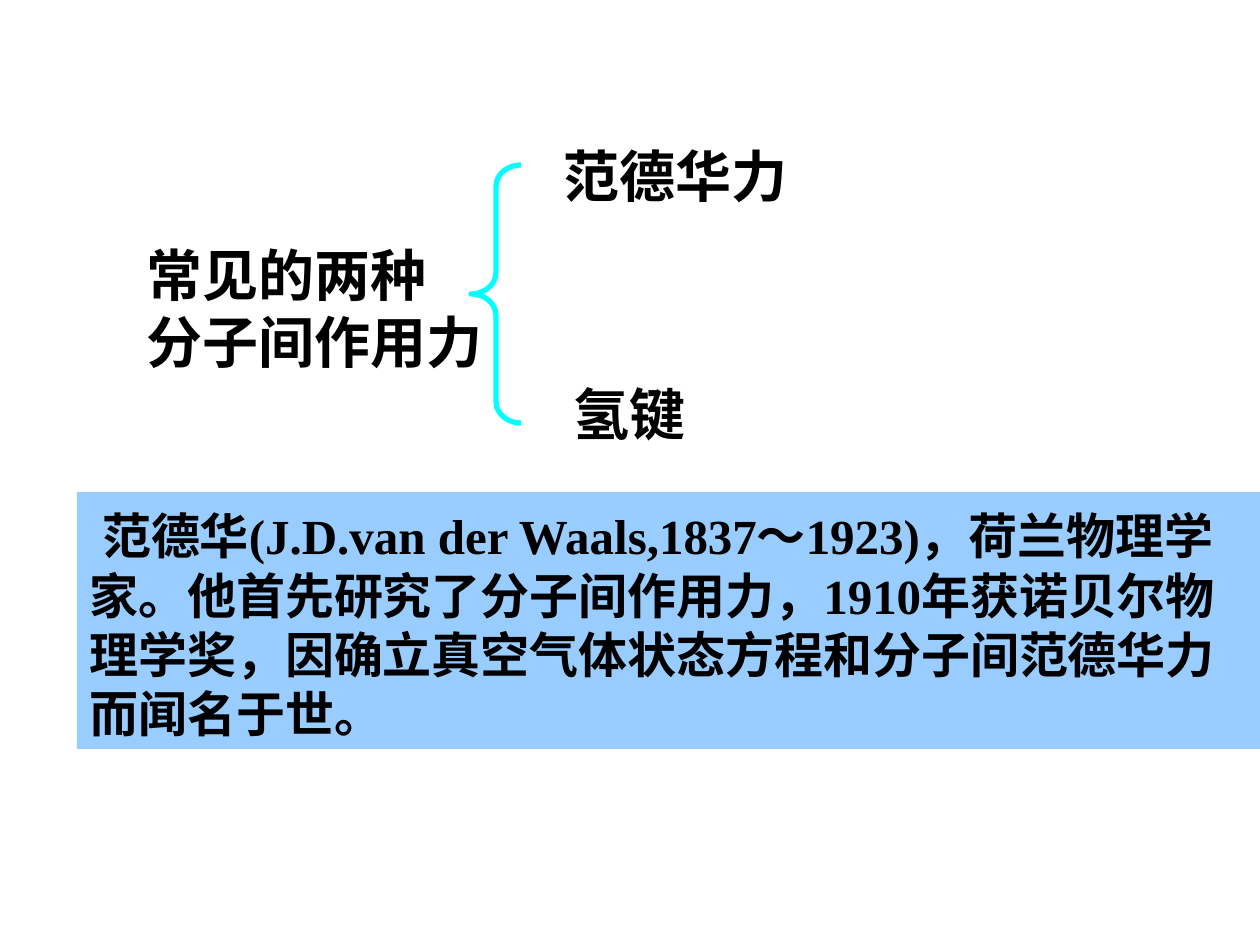
import dataclasses
import pptx
import pptx.util
import pptx.dml.color
import pptx.enum.shapes
import pptx.enum.text
import pptx.oxml.ns
import pptx.oxml.xmlchemy
import lxml.etree

PX = 914400 // 126
BLACK = pptx.dml.color.RGBColor(0x00, 0x00, 0x00)
PALE = pptx.dml.color.RGBColor(0xB5, 0xE0, 0xE3)
CYAN = pptx.dml.color.RGBColor(0x00, 0xFF, 0xFF)
BLUE = pptx.dml.color.RGBColor(0x99, 0xCC, 0xFF)
HAN = "Noto Sans CJK SC"
ROMAN = "Times New Roman"


@dataclasses.dataclass(frozen=True)
class Box:
    left: int
    top: int
    width: int
    height: int

    def place(self) -> tuple[int, ...]:
        return tuple(n * PX for n in (self.left, self.top, self.width, self.height))


@dataclasses.dataclass(frozen=True)
class Span:
    text: str
    size: int = 32
    face: str = HAN
    color: pptx.dml.color.RGBColor = BLACK


@dataclasses.dataclass(frozen=True)
class Label:
    box: Box
    lines: tuple[str, ...]


LABELS = (
    Label(Box(134, 234, 476, 147), ("常见的两种", "分子间作用力")),
    Label(Box(551, 135, 358, 81), ("范德华力",)),
    Label(Box(561, 373, 329, 81), ("氢键",)),
)
BRACE = Box(471, 165, 50, 258)
PANEL = Box(77, 492, 1183, 257)
STORY = (
    Span(" ", 32, ROMAN, PALE),
    Span(
        "范德华(J.D.van der Waals,1837～1923)，荷兰物理学家。"
        "他首先研究了分子间作用力，1910年获诺贝尔物理学奖，"
        "因确立真空气体状态方程和分子间范德华力而闻名于世。",
        28,
        ROMAN,
    ),
)


def add_span(para, span: Span) -> None:
    run = para.add_run()
    run.text = span.text
    font = run.font
    font.size = pptx.util.Pt(span.size)
    font.bold = True
    font.color.rgb = span.color
    font.name = span.face
    east = lxml.etree.SubElement(font._element, pptx.oxml.ns.qn("a:ea"))
    east.set("typeface", HAN)


def fill_text(shape, lines: tuple[tuple[Span, ...], ...]) -> None:
    frame = shape.text_frame
    frame.word_wrap = True
    frame.auto_size = pptx.enum.text.MSO_AUTO_SIZE.SHAPE_TO_FIT_TEXT
    frame.vertical_anchor = pptx.enum.text.MSO_ANCHOR.TOP
    for i, spans in enumerate(lines):
        para = frame.add_paragraph() if i else frame.paragraphs[0]
        para.alignment = pptx.enum.text.PP_ALIGN.LEFT
        for span in spans:
            add_span(para, span)


def add_label(slide, label: Label) -> None:
    shape = slide.shapes.add_textbox(*label.box.place())
    fill_text(shape, tuple((Span(line),) for line in label.lines))


def add_brace(slide, box: Box) -> None:
    kind = pptx.enum.shapes.MSO_SHAPE.LEFT_BRACE
    brace = slide.shapes.add_shape(kind, *box.place())
    brace.shadow.inherit = False
    brace.adjustments[0] = 0.43
    brace.adjustments[1] = 0.5
    brace.fill.background()
    brace.line.color.rgb = CYAN
    brace.line.width = pptx.util.Pt(3)


def add_panel(slide, box: Box, spans: tuple[Span, ...]) -> None:
    kind = pptx.enum.shapes.MSO_SHAPE.RECTANGLE
    panel = slide.shapes.add_shape(kind, *box.place())
    panel.shadow.inherit = False
    panel.fill.solid()
    panel.fill.fore_color.rgb = BLUE
    panel.line.fill.background()
    fill_text(panel, (spans,))


def main() -> None:
    deck = pptx.Presentation()
    deck.slide_width = 1260 * PX
    deck.slide_height = 945 * PX
    slide = deck.slides.add_slide(deck.slide_layouts[6])
    for label in LABELS:
        add_label(slide, label)
    add_brace(slide, BRACE)
    add_panel(slide, PANEL, STORY)
    deck.save("out.pptx")


if __name__ == "__main__":
    main()
